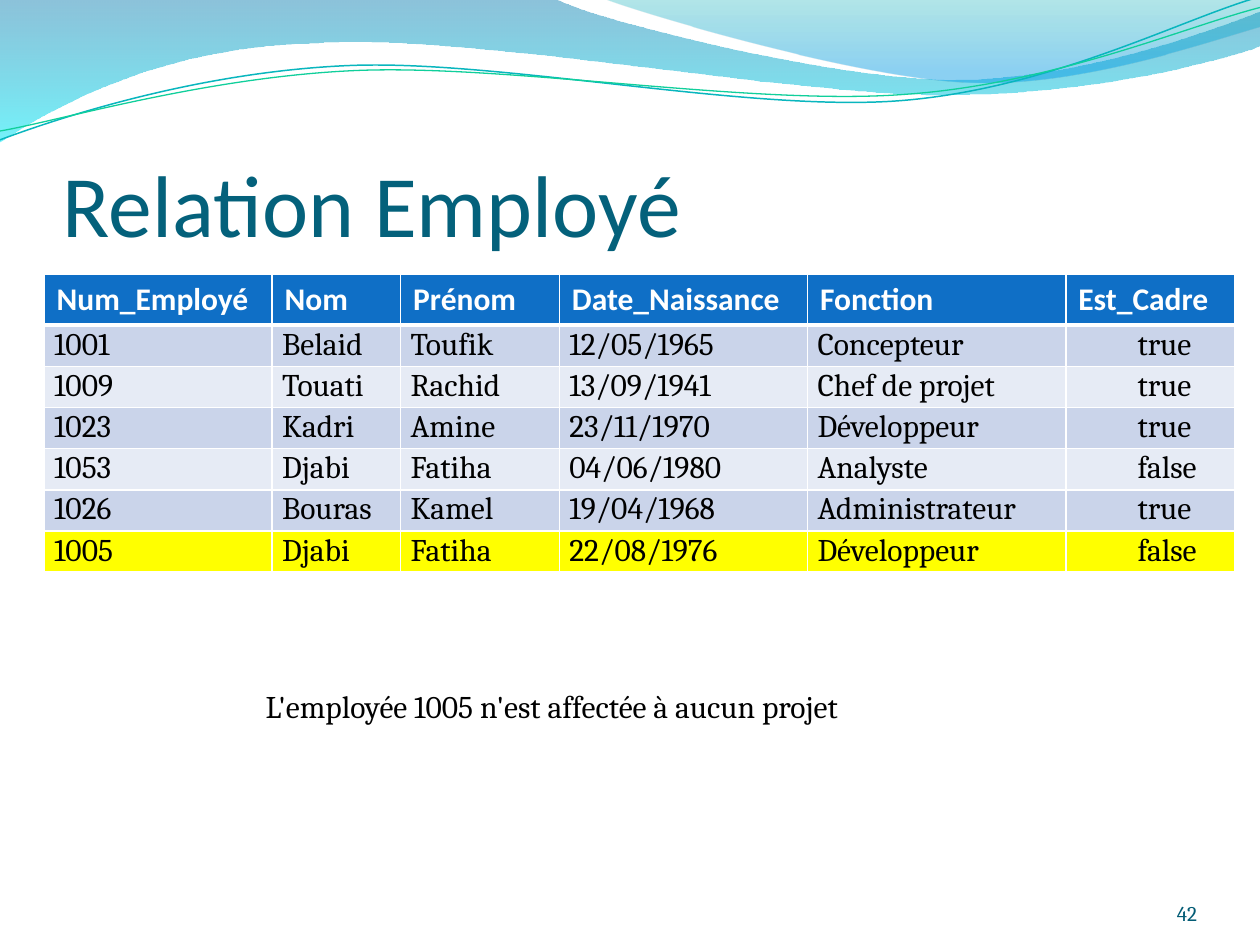
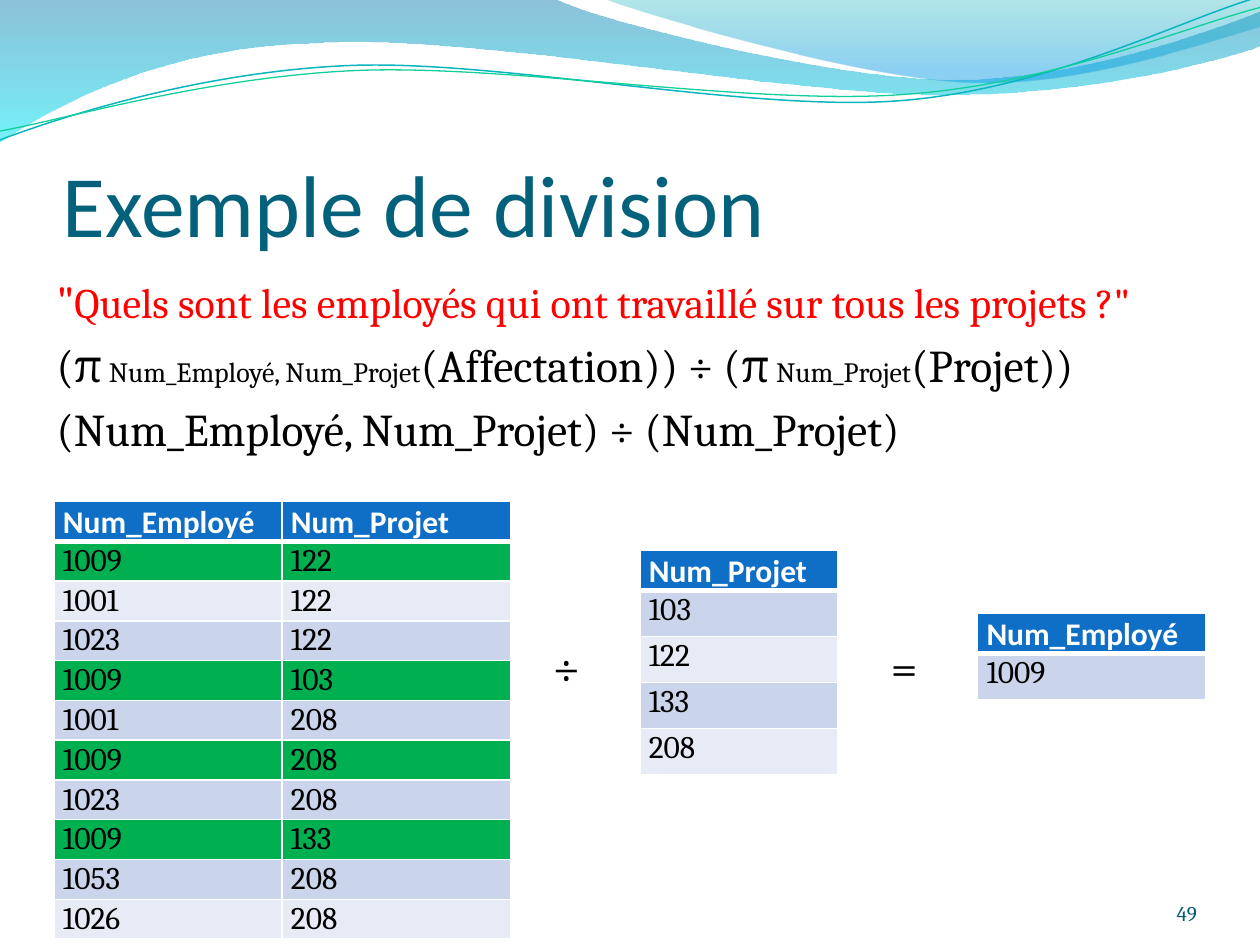
from math import cos, radians, sin

from lxml import etree
from pptx import Presentation
from pptx.dml.color import RGBColor
from pptx.enum.text import MSO_ANCHOR, PP_ALIGN
from pptx.oxml.ns import qn
from pptx.util import Inches, Pt

BOTTOM, TOP = MSO_ANCHOR.BOTTOM, MSO_ANCHOR.TOP
LEFT, RIGHT = PP_ALIGN.LEFT, PP_ALIGN.RIGHT

HEADING, BODY = "Calibri", "Cambria"
BLACK, WHITE, RED = "000000", "FFFFFF", "FF0000"
TITLE_COLOR, NUMBER_COLOR = "04617B", "035C75"
HEADER_FILL, BANDS = "0F6FC6", ("CAD4EA", "E6EBF5")
YELLOW, GREEN = "FFFF00", "00B050"
BOX_MARGINS = (0.1, 0.05, 0.1, 0.05)
CELL_MARGINS = (0.07, 0, 0.07, 0)

# Waves: a start point, then lines (2 numbers) and cubic curves (6 numbers).
# Gradient stops: position, colour, opacity, all in percent.
FILLED_WAVES = [
    ([(0, 0), (4.4, -0.01), (4.76, 0.17, 6.64, 0.63, 7.58, 0.63),
      (8.53, 0.63, 9.58, 0.26, 10, 0.09), (10.01, 0.36),
      (9.83, 0.44, 8.7, 0.76, 7.46, 0.75), (6.22, 0.75, 3.82, 0.28, 2.57, 0.34),
      (1.29, 0.36, 0.46, 0.83, -0.01, 1.13), (0, 0)],
     [(0, "0079AD", 45), (100, "00E9F7", 55)]),
    ([(4.79, -0.01), (5.09, 0.11, 6.82, 0.62, 7.69, 0.65),
      (8.56, 0.69, 9.61, 0.32, 10, 0.21), (10, 0), (4.79, -0.01)],
     [(0, "00ABB4", 30), (80, "0099E4", 45), (100, "0099E4", 45)]),
]
# Line waves: outline as it shows, centre of the tilt, colour, width.
TILT = -2.7
LINE_WAVES = [
    ([(0, 1.11), (0.48, 0.93, 1.58, 0.57, 2.77, 0.52),
      (3.95, 0.47, 5.93, 0.89, 7.13, 0.8), (8.33, 0.71, 9.38, 0.15, 9.98, -0.02)],
     (4.99, 0.58), "09B6BE", 0.85),
    ([(0, 1.04), (0.47, 0.96, 1.64, 0.61, 2.83, 0.56),
      (4.03, 0.51, 5.97, 0.84, 7.17, 0.75), (8.36, 0.67, 9.41, 0.21, 10, 0.06)],
     (5, 0.59), "10CF9B", 0.75),
]


def color(hex_text):
    return RGBColor.from_string(hex_text)


def pairs(segment):
    return list(zip(segment[::2], segment[1::2]))


def turn(segment, center, degrees):
    """Turn the points of a segment clockwise about a centre."""
    c, s = cos(radians(degrees)), sin(radians(degrees))
    turned = []
    for x, y in pairs(segment):
        dx, dy = x - center[0], y - center[1]
        turned += [center[0] + dx * c - dy * s, center[1] + dx * s + dy * c]
    return tuple(turned)


class DeckBuilder:
    def __init__(self):
        self.deck = Presentation()
        self.deck.slide_width, self.deck.slide_height = Inches(10), Inches(7.5)
        self.page = None

    def add_page(self, title, number):
        self.page = self.deck.slides.add_slide(self.deck.slide_layouts[6])
        for outline, stops in FILLED_WAVES:
            self.filled_wave(outline, stops)
        for outline, center, line_color, width in LINE_WAVES:
            level = [turn(segment, center, -TILT) for segment in outline]
            wave = self.wave(level, closed=False)
            wave.rotation = TILT
            wave.fill.background()
            wave.line.color.rgb = color(line_color)
            wave.line.width = Pt(width)
        self.text((0.5, 0.77, 9, 1.25), [[(title, 50, TITLE_COLOR)]], font=HEADING,
                  margins=(0, 0.05, 0, 0), anchor=BOTTOM)
        self.text((8.67, 6.95, 0.83, 0.4), [[(number, 12, NUMBER_COLOR)]],
                  margins=(0, 0, 0, 0), anchor=BOTTOM, align=RIGHT)

    def wave(self, outline, closed):
        points = [(Inches(x), Inches(y)) for part in outline for x, y in pairs(part)]
        builder = self.page.shapes.build_freeform(*points[0])
        builder.add_line_segments(points[1:], close=closed)
        shape = builder.convert_to_shape()
        shape.shadow.inherit = False
        # Join each run of three lines into one cubic curve
        lines = iter(list(shape._element.iter(qn("a:lnTo"))))
        for segment in outline[1:]:
            first = next(lines)
            if len(segment) == 6:
                first.tag_name = None
                curve = etree.Element(qn("a:cubicBezTo"))
                first.addprevious(curve)
                for line in (first, next(lines), next(lines)):
                    curve.append(line[0])
                    line.getparent().remove(line)
        return shape

    def filled_wave(self, outline, stops):
        shape = self.wave(outline, closed=True)
        shape.line.fill.background()
        shape.fill.gradient()
        shape.fill.gradient_angle = 270
        stop_list = next(shape.fill._xPr.iter(qn("a:gsLst")))
        stop_list.clear()
        for position, stop_color, opacity in stops:
            stop = etree.SubElement(stop_list, qn("a:gs"), pos=str(position * 1000))
            rgb = etree.SubElement(stop, qn("a:srgbClr"), val=stop_color)
            etree.SubElement(rgb, qn("a:alpha"), val=str(opacity * 1000))

    def set_margins(self, holder, margins):
        (holder.margin_left, holder.margin_top,
         holder.margin_right, holder.margin_bottom) = map(Inches, margins)

    def span(self, para, text, size, text_color, font=BODY, bold=False):
        span = para.add_run()
        span.text = text
        span.font.size, span.font.name, span.font.bold = Pt(size), font, bold
        span.font.color.rgb = color(text_color)

    def text(self, place, paras, font=BODY, margins=BOX_MARGINS, anchor=TOP,
             align=LEFT, space_before=0):
        box = self.page.shapes.add_textbox(*map(Inches, place))
        frame = box.text_frame
        frame.word_wrap, frame.vertical_anchor = True, anchor
        self.set_margins(frame, margins)
        for index, spans in enumerate(paras):
            para = frame.add_paragraph() if index else frame.paragraphs[0]
            para.alignment = align
            para.space_before = Pt(space_before if index else 0)
            for text, size, text_color in spans:
                self.span(para, text, size, text_color, font)

    def cell_borders(self, cell, widths):
        properties = cell._tc.get_or_add_tcPr()
        for side, width in zip("LRTB", widths):
            line = etree.SubElement(properties, qn("a:ln" + side), w=str(Pt(width)))
            fill = etree.SubElement(line, qn("a:solidFill"))
            etree.SubElement(fill, qn("a:srgbClr"), val=WHITE)

    def table(self, left, top, widths, heights, rows, marked=(), mark=None,
              header_margins=CELL_MARGINS, header_spacing=1.05, indents=None):
        """Header row, banded rows below; marked row numbers get the mark colour."""
        place = map(Inches, (left, top, sum(widths), sum(heights)))
        table = self.page.shapes.add_table(len(rows), len(widths), *place).table
        for column, width in zip(table.columns, widths):
            column.width = Inches(width)
        for row, height in zip(table.rows, heights):
            row.height = Inches(height)
        indents = indents or [0] * len(widths)
        for r, values in enumerate(rows):
            for c, value in enumerate(values):
                cell = table.cell(r, c)
                para = cell.text_frame.paragraphs[0]
                self.cell_borders(cell, (1, 1, 3 if r == 1 else 1, 1 if r else 3))
                cell.fill.solid()
                if r == 0:
                    fill = HEADER_FILL
                    self.set_margins(cell, header_margins)
                    para.line_spacing = header_spacing
                    self.span(para, value, 18, WHITE, HEADING, bold=True)
                else:
                    fill = mark if r in marked else BANDS[(r - 1) % 2]
                    self.set_margins(cell, CELL_MARGINS)
                    para.line_spacing = 1.05
                    para._p.get_or_add_pPr().set("marL", str(Inches(indents[c])))
                    self.span(para, value, 18, BLACK)
                cell.fill.fore_color.rgb = color(fill)


def employee_page(builder):
    builder.add_page("Relation Employé", "42")
    employees = [
        ("Num_Employé", "Nom", "Prénom", "Date_Naissance", "Fonction", "Est_Cadre"),
        ("1001", "Belaid", "Toufik", "12/05/1965", "Concepteur", "true"),
        ("1009", "Touati", "Rachid", "13/09/1941", "Chef de projet", "true"),
        ("1023", "Kadri", "Amine", "23/11/1970", "Développeur", "true"),
        ("1053", "Djabi", "Fatiha", "04/06/1980", "Analyste", "false"),
        ("1026", "Bouras", "Kamel", "19/04/1968", "Administrateur", "true"),
        ("1005", "Djabi", "Fatiha", "22/08/1976", "Développeur", "false"),
    ]
    builder.table(0.35, 2.18, [1.81, 1.02, 1.26, 1.97, 2.05, 1.34],
                  [2.29 / 7] * 7, employees, marked=[6], mark=YELLOW,
                  header_margins=BOX_MARGINS, header_spacing=1.0,
                  indents=[0.01] * 5 + [0.5])
    builder.text((2.01, 5.4, 5.91, 0.4),
                 [[("L'employée 1005 n'est affectée à aucun projet", 18, BLACK)]])


def division_page(builder):
    builder.add_page("Exemple de division", "49")
    # Question and its algebra
    builder.text((0.35, 2.12, 9.29, 1.79), [
        [('"', 26, RED),
         ('Quels sont les employés qui ont travaillé sur tous les projets ?"', 24, RED)],
        [("(π", 26, BLACK), (" Num_Employé, Num_Projet", 16, BLACK),
         ("(Affectation)) ÷ (π", 26, BLACK), (" Num_Projet", 16, BLACK),
         ("(Projet))", 26, BLACK)],
        [("(Num_Employé, Num_Projet) ÷ (Num_Projet)", 26, BLACK)],
    ], space_before=5.2)

    # Dividend ÷ divisor = quotient
    assignments = [
        ("Num_Employé", "Num_Projet"), ("1009", "122"), ("1001", "122"),
        ("1023", "122"), ("1009", "103"), ("1001", "208"), ("1009", "208"),
        ("1023", "208"), ("1009", "133"), ("1053", "208"), ("1026", "208"),
    ]
    matches = [r for r, (employee, _) in enumerate(assignments) if employee == "1009"]
    builder.table(0.43, 3.98, [1.81] * 2, [3.16 / 10] * 10 + [0.3], assignments,
                  marked=matches, mark=GREEN)
    projects = [("Num_Projet",), ("103",), ("122",), ("133",), ("208",)]
    builder.table(5.08, 4.37, [1.57], [0.19] + [1.46 / 4] * 4, projects)
    builder.table(7.76, 4.87, [1.81], [0.19, 0.37], [("Num_Employé",), ("1009",)])
    for sign, left, width in (("÷", 4.29, 0.63), ("=", 6.97, 0.47)):
        builder.text((left, 5, width, 0.57), [[(sign, 28, BLACK)]])


def main():
    builder = DeckBuilder()
    employee_page(builder)
    division_page(builder)
    builder.deck.save("out.pptx")


if __name__ == "__main__":
    main()
